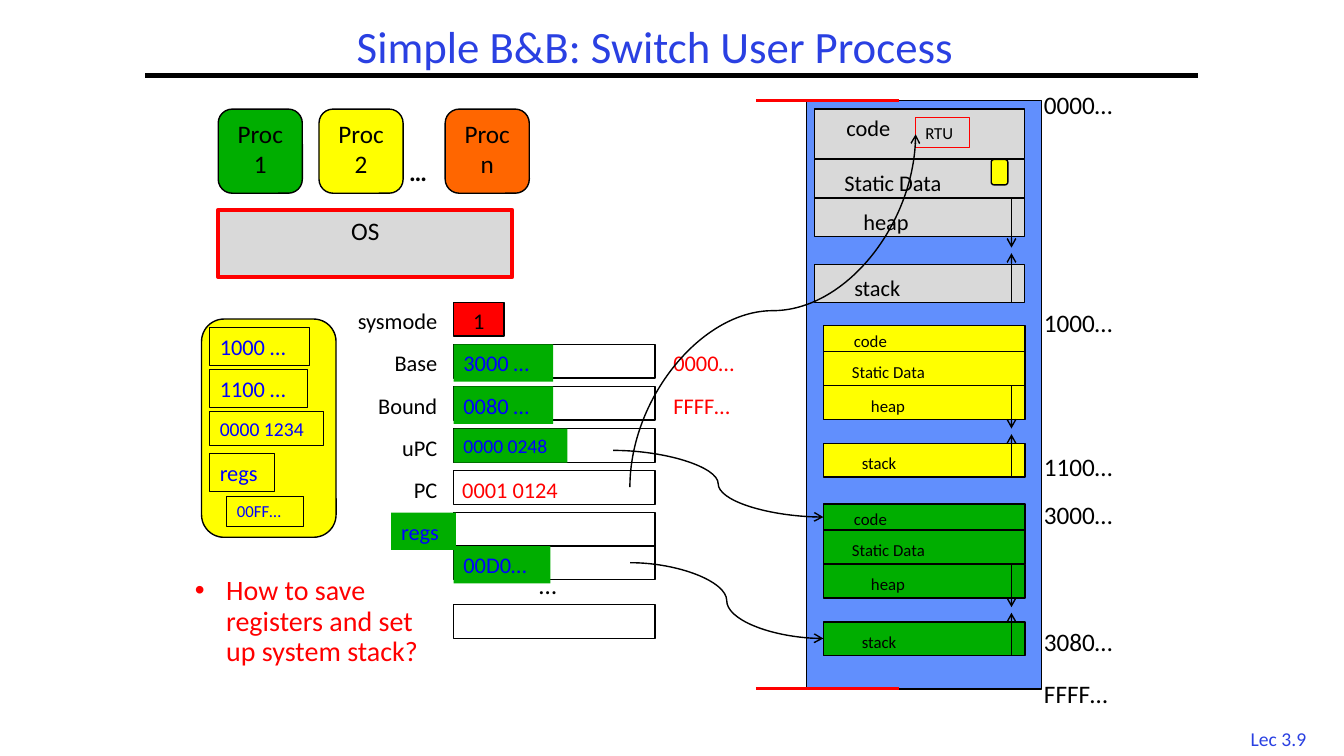
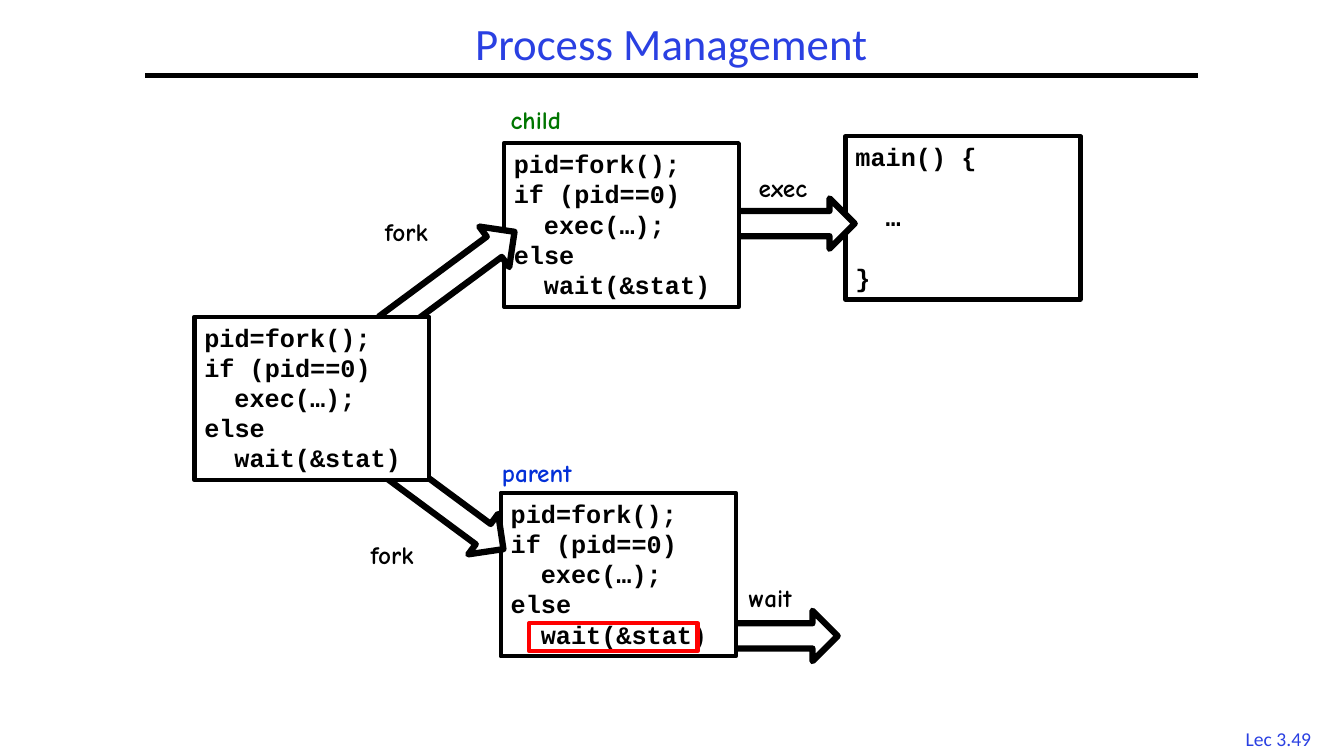
from lxml import etree
from pptx import Presentation
from pptx import util as u
from pptx.dml.color import RGBColor
from pptx.enum import shapes, text
from pptx.oxml.ns import qn


class Look:
    blue, ink, white, red = "2A40E2", "000000", "FFFFFF", "FF0000"
    green, yellow, orange, gray = "00AE00", "FFFF00", "FF6600", "D9D9D9"
    sea, value, child, parent = "618FFD", "0000FF", "007600", "0330D8"
    sans, mono, hand = "Calibri", "Courier New", "Comic Neue"
    title, body, large, mid, small, tiny = 32, 20, 18, 16, 14, 12
    pitch = 21.6  # line height of program text, in points


RECT = shapes.MSO_SHAPE.RECTANGLE
ROUND = shapes.MSO_SHAPE.ROUNDED_RECTANGLE
ARROW = shapes.MSO_SHAPE.RIGHT_ARROW
STRAIGHT, CURVE = shapes.MSO_CONNECTOR.STRAIGHT, shapes.MSO_CONNECTOR.CURVE
LEFT, MID, RIGHT = text.PP_ALIGN.LEFT, text.PP_ALIGN.CENTER, text.PP_ALIGN.RIGHT


def box(page, kind, x, y, w, h, txt="", fill=None, edge=None, wt=1, size=Look.large,
        ink=Look.ink, face=Look.sans, bold=False, al=LEFT, wrap=True, pad=0.25, top=0.13):
    """Add a preset shape, or a text box when kind is None."""
    area = [u.Cm(n) for n in (x, y, w, h)]
    if kind is None:
        item = page.shapes.add_textbox(*area)
    else:
        item = page.shapes.add_shape(kind, *area)
        item.shadow.inherit = False
        if fill:
            item.fill.solid()
            item.fill.fore_color.rgb = RGBColor.from_string(fill)
        else:
            item.fill.background()
        if edge:
            item.line.color.rgb = RGBColor.from_string(edge)
            item.line.width = u.Pt(wt)
        else:
            item.line.fill.background()
    if txt:
        frame = item.text_frame
        frame.text = txt
        frame.word_wrap = wrap
        frame.vertical_anchor = text.MSO_ANCHOR.TOP
        frame.margin_left, frame.margin_top = u.Cm(pad), u.Cm(top)
        if wrap:
            frame.margin_bottom = 0
        else:
            frame.auto_size = text.MSO_AUTO_SIZE.SHAPE_TO_FIT_TEXT
        for par in frame.paragraphs:
            par.alignment = al
            par.font.name, par.font.size, par.font.bold = face, u.Pt(size), bold
            par.font.color.rgb = RGBColor.from_string(ink)
    return item


def link(page, x1, y1, x2, y2, ink=Look.ink, wt=1, head=True, kind=STRAIGHT):
    """Add a connector, with an arrowhead at its end if wanted."""
    item = page.shapes.add_connector(kind, *[u.Cm(n) for n in (x1, y1, x2, y2)])
    item.line.color.rgb = RGBColor.from_string(ink)
    item.line.width = u.Pt(wt)
    if head:
        etree.SubElement(item.line._get_or_add_ln(), qn("a:tailEnd"), type="arrow")
    etree.SubElement(item._element.spPr, qn("a:effectLst"))
    return item


deck = Presentation()
deck.slide_width, deck.slide_height = u.Cm(33.87), u.Cm(19.05)

# Shared title, rule and footer
pages = []
for name, foot, x, y, w, h in (
        ("Simple B&B: Switch User Process", "Lec 3.9", 5.5, 0.21, 22.02, 2.06),
        ("Process Management", "Lec 3.49", 3.66, 0.42, 26.52, 1.48)):
    page = deck.slides.add_slide(deck.slide_layouts[6])
    pages.append(page)
    head = box(page, None, x, y, w, h, name, size=Look.title, ink=Look.blue, al=MID)
    head.text_frame.vertical_anchor = text.MSO_ANCHOR.MIDDLE
    head.text_frame.margin_bottom = u.Cm(0.13)
    head.text_frame.paragraphs[0].line_spacing = 0.9
    link(page, 3.66, 1.9, 30.2, 1.9, wt=3, head=False)
    box(page, None, 30.99, 18.19, 2.46, 0.84, foot, size=Look.small, ink=Look.blue,
        al=MID, wrap=False)
swap, fork = pages

# Processes and operating system
for x, name, fill in ((5.5, "Proc 1", Look.green), (8.04, "Proc 2", Look.yellow),
                      (11.22, "Proc n", Look.orange)):
    box(swap, ROUND, x, 2.75, 2.12, 2.12, name, fill, Look.ink, al=MID)
box(swap, None, 10.06, 3.81, 1.14, 1.02, "…", bold=True, wrap=False)
box(swap, RECT, 5.5, 5.29, 7.41, 1.69, "OS", Look.gray, Look.red, 3, al=MID)

# Memory: left, top, width, fill, text size, label indent, rows (offset, height)
box(swap, RECT, 20.32, 2.54, 5.93, 14.82, fill=Look.sea, edge=Look.ink)
tall = ((0, 1.25), (1.27, 0.97), (2.24, 0.97), (3.91, 0.97))
low = ((0, 0.66), (0.66, 0.85), (1.52, 0.85), (2.97, 0.85))
names = ("code", "Static Data", "heap", "stack")
shifts = (0.05, 0, 0.48, 0.25)
for x, y, w, fill, size, pad, rows, reach in (
        (20.53, 2.75, 5.29, Look.gray, Look.mid, 0.75, tall, 1.25),
        (20.75, 8.2, 5.08, Look.yellow, Look.tiny, 0.72, low, 1.08),
        (20.75, 12.7, 5.08, Look.green, Look.tiny, 0.72, low, 1.08)):
    for name, shift, (down, h) in zip(names, shifts, rows):
        box(swap, RECT, x, y + down, w, h, name, fill, Look.ink, size=size,
            pad=pad + shift, top=0.25 if down else 0.13)
    heap, base = y + rows[2][0], y + rows[3][0] + rows[3][1]
    link(swap, 25.49, base, 25.49, base - reach)
    link(swap, 25.49, heap, 25.49, heap + reach)
for y in (2.54, 17.36):
    link(swap, 19.05, y, 22.65, y, Look.red, 2.25, head=False)
for y, name in ((2.12, "0000…"), (7.62, "1000…"), (11.25, "1100…"),
                (12.45, "3000…"), (15.66, "3080…"), (16.97, "FFFF…")):
    box(swap, None, 26.06, y, 2.6, 1.02, name, wrap=False)

# Registers
first, step = 7.62, 1.06
for i, name in enumerate(("sysmode", "Base", "Bound", "uPC", "PC")):
    box(swap, None, 8.27, first + i * step, 3, 0.94, name, size=Look.mid, al=RIGHT)
box(swap, RECT, 11.43, first, 1.27, 0.85, "1", Look.red, Look.ink, size=Look.mid, al=MID)
for y in (8.68, 9.74, 10.8, 12.92, 13.76, 15.24):
    box(swap, RECT, 11.43, y, 5.08, 0.85, edge=Look.ink)
box(swap, RECT, 11.43, 11.86, 5.08, 0.85, "0001 0124", edge=Look.ink, size=Look.mid,
    ink=Look.red, pad=0.22)
for x, y, w, size, name in (
        (11.43, 8.68, 2.51, Look.mid, "3000 …"), (11.43, 9.74, 2.51, Look.mid, "0080 …"),
        (11.43, 10.8, 2.87, Look.small, "0000 0248"), (9.86, 12.92, 1.63, Look.mid, "regs"),
        (11.43, 13.76, 2.44, Look.mid, "00D0…")):
    box(swap, RECT, x, y, w, 0.94 if size == Look.mid else 0.86, name, Look.green,
        size=size, ink=Look.value, wrap=False)
box(swap, None, 13.34, 14.22, 1.14, 1.02, "…", wrap=False)
for y, w, name in ((8.68, 2.34, "0000…"), (9.74, 2.46, "FFFF…")):
    box(swap, None, 16.72, y, w, 0.94, name, size=Look.mid, ink=Look.red, wrap=False)

# Saved state of process 2
box(swap, ROUND, 5.08, 8.04, 3.39, 5.5, fill=Look.yellow, edge=Look.ink)
for i, (x, w, h, size, name) in enumerate((
        (5.29, 2.51, 0.94, Look.mid, "1000 …"), (5.29, 2.46, 0.94, Look.mid, "1100 …"),
        (5.29, 2.87, 0.86, Look.small, "0000 1234"), (5.29, 1.63, 0.94, Look.mid, "regs"),
        (5.72, 1.93, 0.76, Look.tiny, "00FF…"))):
    box(swap, RECT, x, 8.26 + i * step, w, h, name, Look.yellow, Look.ink, 0.75,
        size=size, ink=Look.value, wrap=False)

# Pointers into memory
box(swap, RECT, 23.07, 2.97, 1.37, 0.76, "RTU", edge=Look.red, wt=0.75,
    size=Look.tiny, wrap=False)
box(swap, ROUND, 24.98, 4.02, 0.42, 0.64, fill=Look.yellow, edge=Look.ink)
link(swap, 15.45, 11.35, 20.75, 13.03, kind=CURVE)
link(swap, 15.88, 14.18, 20.75, 16.09, kind=CURVE)
rise = link(swap, 23.92, 11.43, 15.03, 4.23, kind=CURVE)
rise._element.spPr.find(qn("a:xfrm")).set("rot", "5400000")  # quarter turn

# Question
ask = box(swap, None, 4.66, 14.4, 6.35, 2.96,
          "How to save registers and set up system stack?", size=Look.body, ink=Look.red)
par = ask.text_frame.paragraphs[0]
par.line_spacing = 0.9
prop = par._p.get_or_add_pPr()
prop.set("marL", str(u.Cm(0.79)))
prop.set("indent", str(u.Cm(-0.79)))
etree.SubElement(prop, qn("a:buFont"), typeface="Arial")
etree.SubElement(prop, qn("a:buChar"), char="•")

# Program boxes and the arrows beneath them, from back to front
call = ("pid=fork();", "if (pid==0)", "exec(…);", "else", "wait(&stat)")
main = ("main() {", "…", "}")
inner = ("exec(…);", "wait(&stat)", "…")
for arrows, codes in (
        (((18.14, 15.39, 2.97, 0),), ((21.31, 3.43, main),)),
        (((18.57, 5, 2.97, 0),), ((12.62, 12.42, call), (12.7, 3.61, call))),
        (((9.35, 6.4, 4.01, 323.5), (9.07, 12.01, 4.01, 36.5)), ((4.9, 7.98, call),))):
    for x, y, w, turn in arrows:
        box(fork, ARROW, x, y, w, 1.27, fill=Look.white, edge=Look.ink, wt=4.5).rotation = turn
    for x, y, lines in codes:
        item = box(fork, RECT, x, y, 5.92, 4.12, "\n".join(lines), Look.white, Look.ink, 3,
                   face=Look.mono, bold=True)
        for i, par in enumerate(item.text_frame.paragraphs):
            par.line_spacing = u.Pt(Look.pitch)
            if lines is main and i:
                par.space_before = u.Pt(Look.pitch)
            if par.text in inner:
                par._p.get_or_add_pPr().set("marL", str(u.Cm(0.76)))
box(fork, RECT, 13.34, 15.7, 4.24, 0.71, edge=Look.red, wt=3)

# Labels
for x, y, w, name, ink in (
        (12.62, 2.49, 2.01, "child", Look.child), (12.4, 11.4, 2.51, "parent", Look.parent),
        (9.45, 5.33, 1.83, "fork", Look.ink), (9.09, 13.46, 1.83, "fork", Look.ink),
        (18.62, 14.55, 1.8, "wait", Look.ink), (18.87, 4.22, 1.93, "exec", Look.ink)):
    box(fork, None, x, y, w, 1.02, name, ink=ink, face=Look.hand, bold=True, wrap=False)

deck.save("out.pptx")
